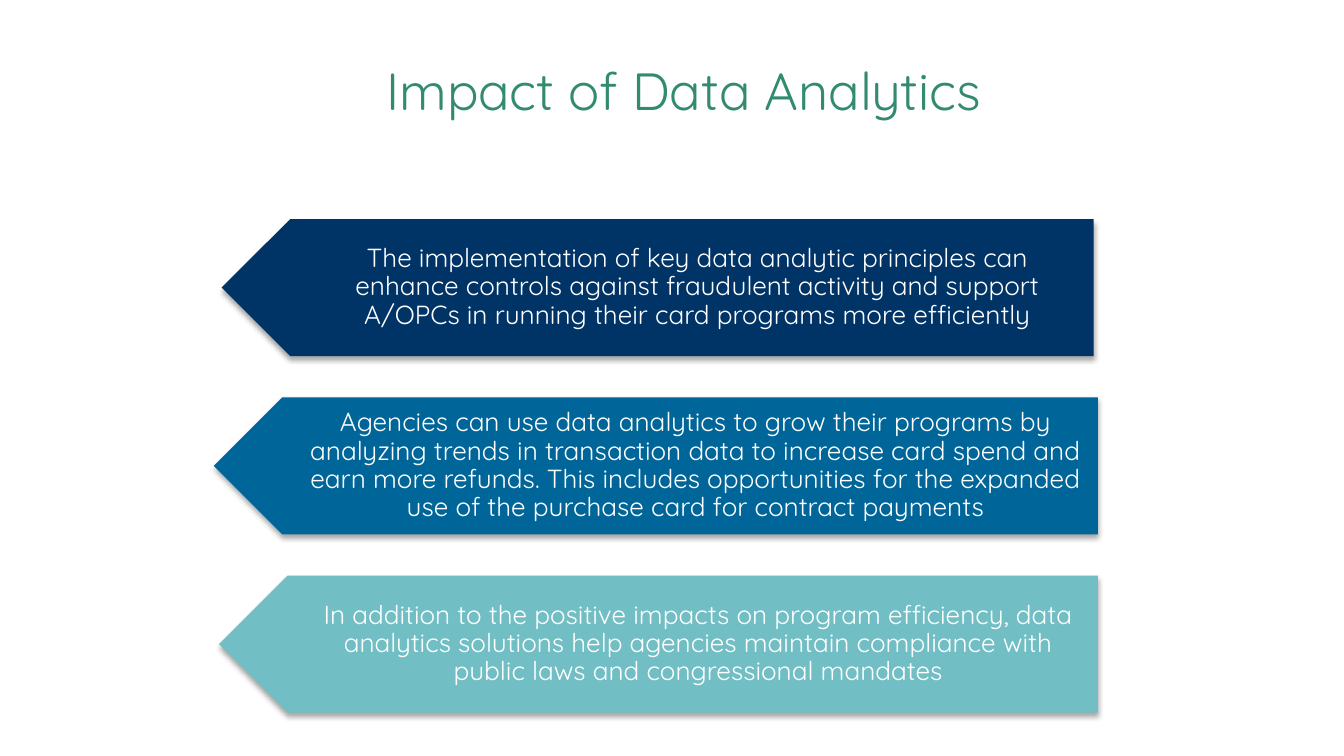
import pptx
import pptx.dml.color
import pptx.enum.shapes
import pptx.enum.text
import pptx.oxml
import pptx.oxml.ns
import pptx.util
from pptx.util import Cm

FONT = "Quicksand"
FIRST_TOP, ROW_PITCH, ARROW_HEIGHT = 4.14, 3.37, 2.59
TEXT_INDENT = 0.65

# left, width, fill, wording
ARROWS = [
    (4.19, 16.48, "003366",
     "The implementation of key data analytic principles can enhance controls "
     "against fraudulent activity and support A/OPCs in running their card "
     "programs more efficiently"),
    (4.04, 16.71, "006699",
     "Agencies can use data analytics to grow their programs by analyzing trends "
     "in transaction data to increase card spend and earn more refunds. This "
     "includes opportunities for the expanded use of the purchase card for "
     "contract payments"),
    (4.14, 16.61, "71BEC4",
     "In addition to the positive impacts on program efficiency, data analytics "
     "solutions help agencies maintain compliance with public laws and "
     "congressional mandates"),
]


def color(hex_string):
    return pptx.dml.color.RGBColor.from_string(hex_string)


def add_text(slide, box, text, size, hex_string, margins, line_spacing=1.0):
    """Margins run left, top, right, bottom, in centimetres like the box."""
    shape = slide.shapes.add_textbox(*map(Cm, box))
    frame = shape.text_frame
    frame.word_wrap = True
    frame.vertical_anchor = pptx.enum.text.MSO_ANCHOR.MIDDLE
    (frame.margin_left, frame.margin_top,
     frame.margin_right, frame.margin_bottom) = map(Cm, margins)
    paragraph = frame.paragraphs[0]
    paragraph.alignment = pptx.enum.text.PP_ALIGN.CENTER
    paragraph.line_spacing = line_spacing
    run = paragraph.add_run()
    run.text = text
    run.font.name = FONT
    run.font.size = pptx.util.Pt(size)
    run.font.color.rgb = color(hex_string)


def add_shadow(shape):
    """Soft shadow straight below, whatever the rotation of the shape."""
    shape.shadow.inherit = False
    effects = shape.element.spPr.find(pptx.oxml.ns.qn("a:effectLst"))
    effects.append(pptx.oxml.parse_xml(
        f'<a:outerShdw {pptx.oxml.ns.nsdecls("a")} blurRad="{pptx.util.Pt(3.1)}" '
        f'dist="{pptx.util.Pt(1.8)}" dir="5400000" rotWithShape="0">'
        '<a:srgbClr val="000000"><a:alpha val="35000"/></a:srgbClr>'
        '</a:outerShdw>'))


def add_arrow(slide, left, top, width, fill, text):
    shape = slide.shapes.add_shape(
        pptx.enum.shapes.MSO_SHAPE.PENTAGON,
        Cm(left), Cm(top), Cm(width), Cm(ARROW_HEIGHT))
    shape.rotation = 180
    shape.adjustments[0] = 0.5
    shape.fill.solid()
    shape.fill.fore_color.rgb = color(fill)
    shape.line.fill.background()
    add_shadow(shape)
    box = (left + TEXT_INDENT, top, width - TEXT_INDENT, ARROW_HEIGHT)
    add_text(slide, box, text, 14, "FFFFFF", (1.14, 0.15, 0.28, 0.15), 0.9)


def main():
    presentation = pptx.Presentation()
    presentation.slide_width = Cm(25.4)
    presentation.slide_height = Cm(14.29)
    slide = presentation.slides.add_slide(presentation.slide_layouts[6])
    add_text(slide, (2.13, 0.81, 21.59, 1.78), "Impact of Data Analytics",
             28, "328B71", (0, 0, 0, 0))
    for row, (left, width, fill, text) in enumerate(ARROWS):
        add_arrow(slide, left, FIRST_TOP + row * ROW_PITCH, width, fill, text)
    presentation.save("out.pptx")


if __name__ == "__main__":
    main()
